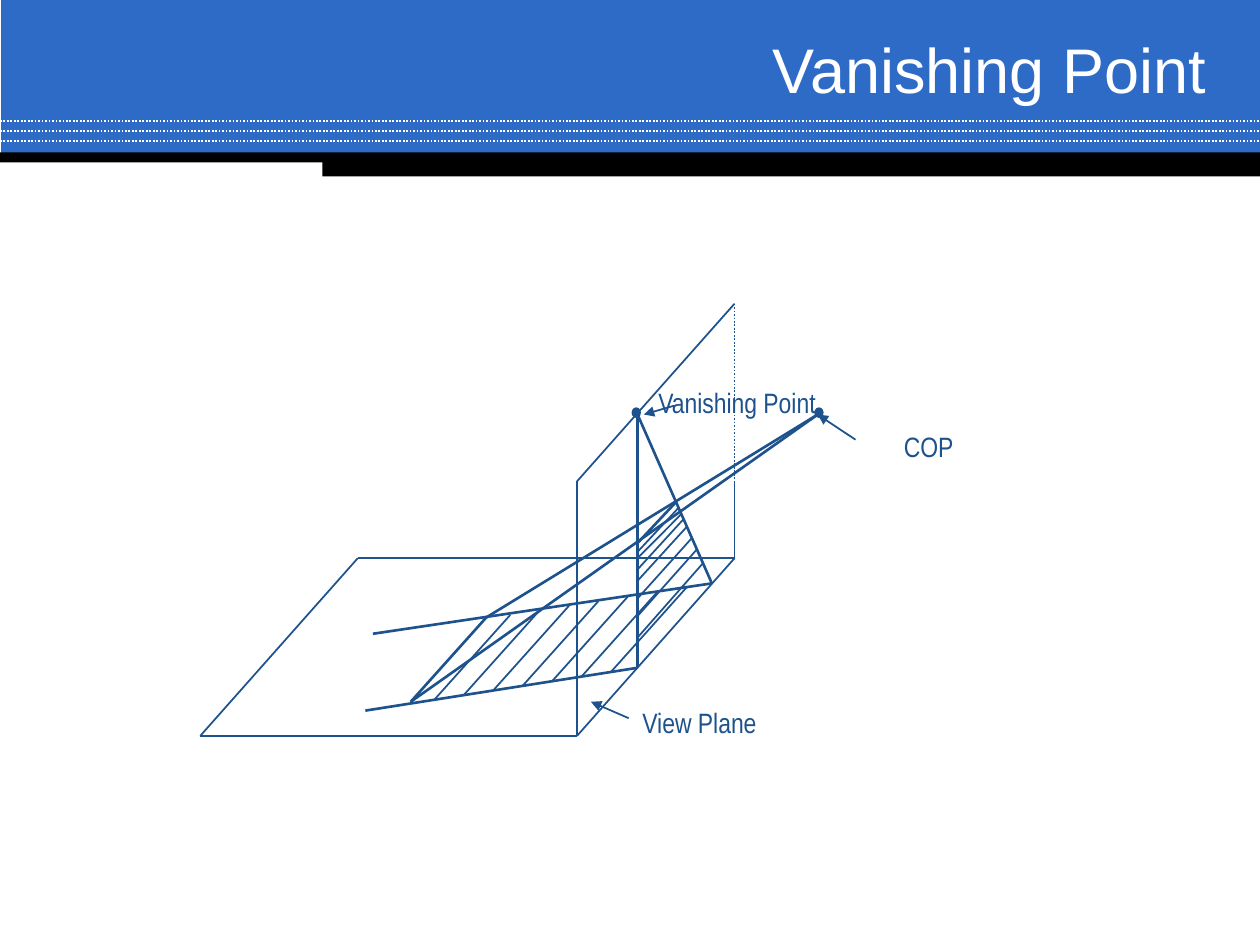
from dataclasses import dataclass

from lxml import etree
from pptx import Presentation
from pptx.dml.color import RGBColor
from pptx.enum import dml, shapes, text
from pptx.oxml.ns import qn
from pptx.util import Inches, Pt


@dataclass(frozen=True)
class Theme:
    """Colours, fonts and sizes of the slide."""
    band: RGBColor = RGBColor.from_string("2D6BC7")
    white: RGBColor = RGBColor.from_string("FFFFFF")
    black: RGBColor = RGBColor.from_string("000000")
    ink: RGBColor = RGBColor.from_string("1D528D")
    title_font: str = "Arial"
    label_font: str = "Arial Narrow"
    title_size: float = 36
    label_size: float = 16
    thin: float = 1
    thick: float = 1.5


T = Theme()


def add_line(s, box, start, end, color=T.ink, width=T.thin, dotted=False, arrow=False):
    """Draw a straight line between two points given relative to the box."""
    x, y = box[:2]
    ends = [Inches(v) for v in (x + start[0], y + start[1], x + end[0], y + end[1])]
    c = s.shapes.add_connector(shapes.MSO_CONNECTOR.STRAIGHT, *ends)
    c.line.color.rgb = color
    c.line.width = Pt(width)
    if dotted:
        c.line.dash_style = dml.MSO_LINE.ROUND_DOT
    if arrow:
        etree.SubElement(c.line._get_or_add_ln(), qn("a:tailEnd"), type="triangle")
    etree.SubElement(c._element.spPr, qn("a:effectLst"))


def add_solid(s, kind, box, at, color, outline=False):
    """Add a filled shape placed relative to the box."""
    x, y = box[:2]
    left, top, width, height = at
    sp = s.shapes.add_shape(kind, Inches(x + left), Inches(y + top),
                            Inches(width), Inches(height))
    sp.shadow.inherit = False
    sp.fill.solid()
    sp.fill.fore_color.rgb = color
    if outline:
        sp.line.color.rgb = color
        sp.line.width = Pt(T.thin)
    else:
        sp.line.fill.background()


def write(tf, words, font, size, color, align):
    """Fill a text frame with one formatted run."""
    tf.vertical_anchor = text.MSO_ANCHOR.MIDDLE
    p = tf.paragraphs[0]
    p.alignment = align
    r = p.add_run()
    r.text = words
    r.font.name = font
    r.font.size = Pt(size)
    r.font.color.rgb = color


def add_label(s, box, at, words, align=text.PP_ALIGN.CENTER):
    """Add an unwrapped label placed relative to the box."""
    left, top, width = at
    sp = s.shapes.add_textbox(Inches(box[0] + left), Inches(box[1] + top),
                              Inches(width), Inches(0.37))
    tf = sp.text_frame
    tf.word_wrap = False
    tf.auto_size = text.MSO_AUTO_SIZE.SHAPE_TO_FIT_TEXT
    write(tf, words, T.label_font, T.label_size, T.ink, align)


def add_header(s, box, words):
    """Build the banner with its dotted rules, black steps and title."""
    x, y, width, _ = box
    rect = shapes.MSO_SHAPE.RECTANGLE
    add_solid(s, rect, box, (0.01, 0, width - 0.01, 1.23), T.band)
    for i in range(3):
        rule_y = 0.96 + 0.08 * i
        add_line(s, box, (0, rule_y), (width, rule_y), T.white, dotted=True)
    add_solid(s, rect, box, (0, 1.21, width, 0.08), T.black)
    add_solid(s, rect, box, (2.56, 1.24, width - 2.56, 0.16), T.black)
    title = s.shapes.title
    title.left, title.top = Inches(x + 2.75), Inches(y + 0.25)
    title.width, title.height = Inches(6.92), Inches(0.58)
    write(title.text_frame, words, T.title_font, T.title_size, T.white,
          text.PP_ALIGN.RIGHT)
    title.element.getparent().append(title.element)


def add_perspective(s, box):
    """Draw the ground, view plane, projected strip, hatching and labels."""
    cop, vanishing = (4.9, 0.88), (3.47, 0.88)
    ground_near, ground_far = (0, 3.43), (1.25, 2.02)
    hinge_near, hinge_far = (2.99, 3.43), (4.24, 2.02)
    top_near, top_far, bend = (2.99, 1.41), (4.24, 0), (4.24, 1.41)
    rail_near, rail_far = (3.47, 2.89), (4.06, 2.22)
    strip_near, strip_far = (1.67, 3.16), (2.27, 2.49)

    outline = [(hinge_far, hinge_near), (top_near, hinge_near),
               (ground_far, hinge_far), (ground_near, hinge_near),
               (ground_far, ground_near), (top_far, top_near), (bend, hinge_far)]
    rays = [(vanishing, rail_near), (vanishing, rail_far),
            (cop, strip_near), (cop, strip_far), (strip_far, strip_near),
            (rail_near, (1.31, 3.23)), (rail_far, (1.37, 2.62)),
            ((3.47, 1.9), (3.78, 1.57))]
    for width, lines in ((T.thin, outline), (T.thick, rays)):
        for start, end in lines:
            add_line(s, box, start, end, width=width)
    add_line(s, box, top_far, bend, dotted=True)

    for i in range(7):
        x, y = 2.46 + 0.233 * i, 2.47 - 0.036 * i
        add_line(s, box, (x, y), (x - 0.6, y + 0.67))

    slope = (rail_far[0] - vanishing[0]) / (rail_far[1] - vanishing[1])
    image_hatch = [(1.97, 1.62), (2.02, 1.67), (2.11, 1.71), (2.2, 1.77),
                   (2.34, 1.86), (2.48, 1.95), (2.65, 2.06)]
    for low, high in image_hatch:
        x = vanishing[0] + slope * (high - vanishing[1])
        add_line(s, box, (vanishing[0], low), (x, high))

    for x in (3.43, 4.88):
        add_solid(s, shapes.MSO_SHAPE.OVAL, box, (x, 0.83, 0.06, 0.07), T.ink, True)
    for start, end in (((5.2, 1.08), cop), ((3.76, 0.81), (3.52, 0.88)),
                       ((3.4, 3.29), (3.1, 3.16))):
        add_line(s, box, start, end, arrow=True)
    add_label(s, box, (3.53, 0.6, 1.46), "Vanishing Point")
    add_label(s, box, (5.48, 0.95, 0.6), "COP")
    add_label(s, box, (3.41, 3.14, 1.11), "View Plane", text.PP_ALIGN.LEFT)


def main():
    """Build and save the slide."""
    prs = Presentation()
    prs.slide_width, prs.slide_height = Inches(10), Inches(7.5)
    s = prs.slides.add_slide(prs.slide_layouts.get_by_name("Title Only"))
    add_header(s, (0, 0, 10, 1.4), "Vanishing Point")
    add_perspective(s, (1.59, 2.41, 6.08, 3.51))
    prs.save("out.pptx")


if __name__ == "__main__":
    main()
